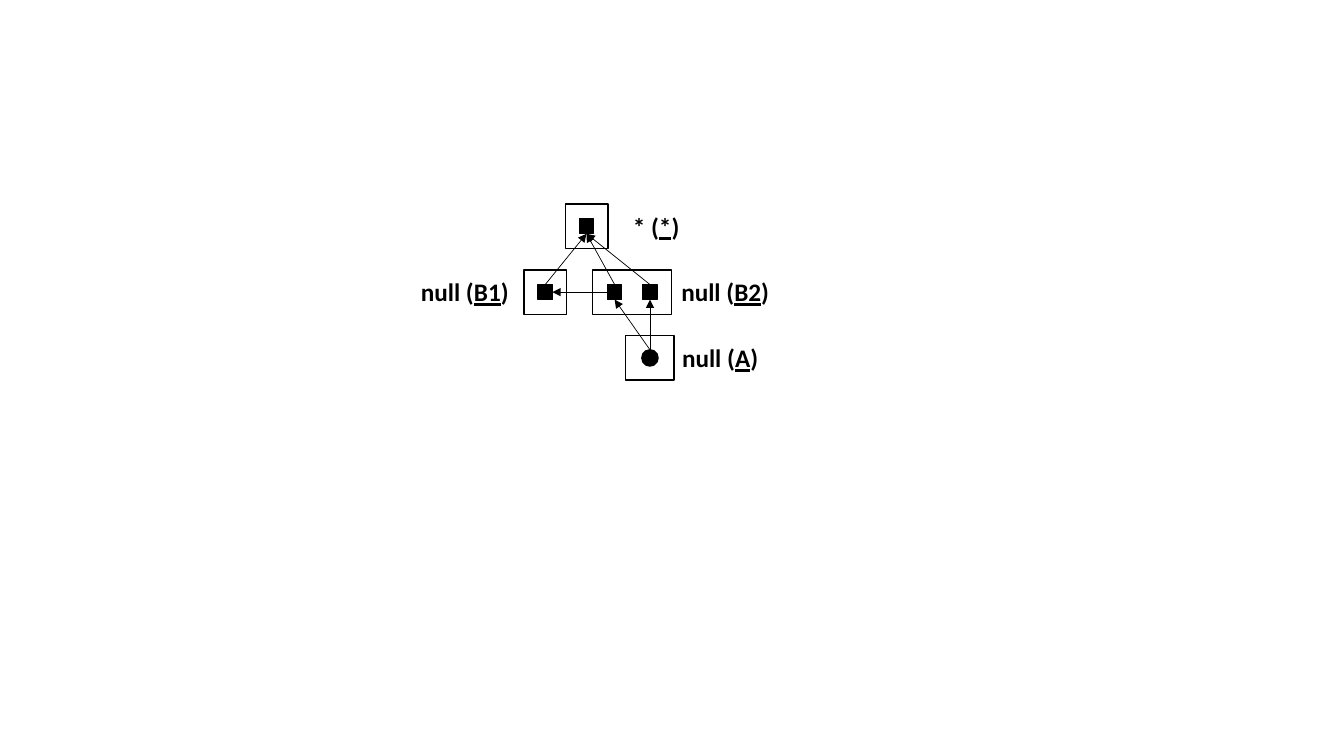
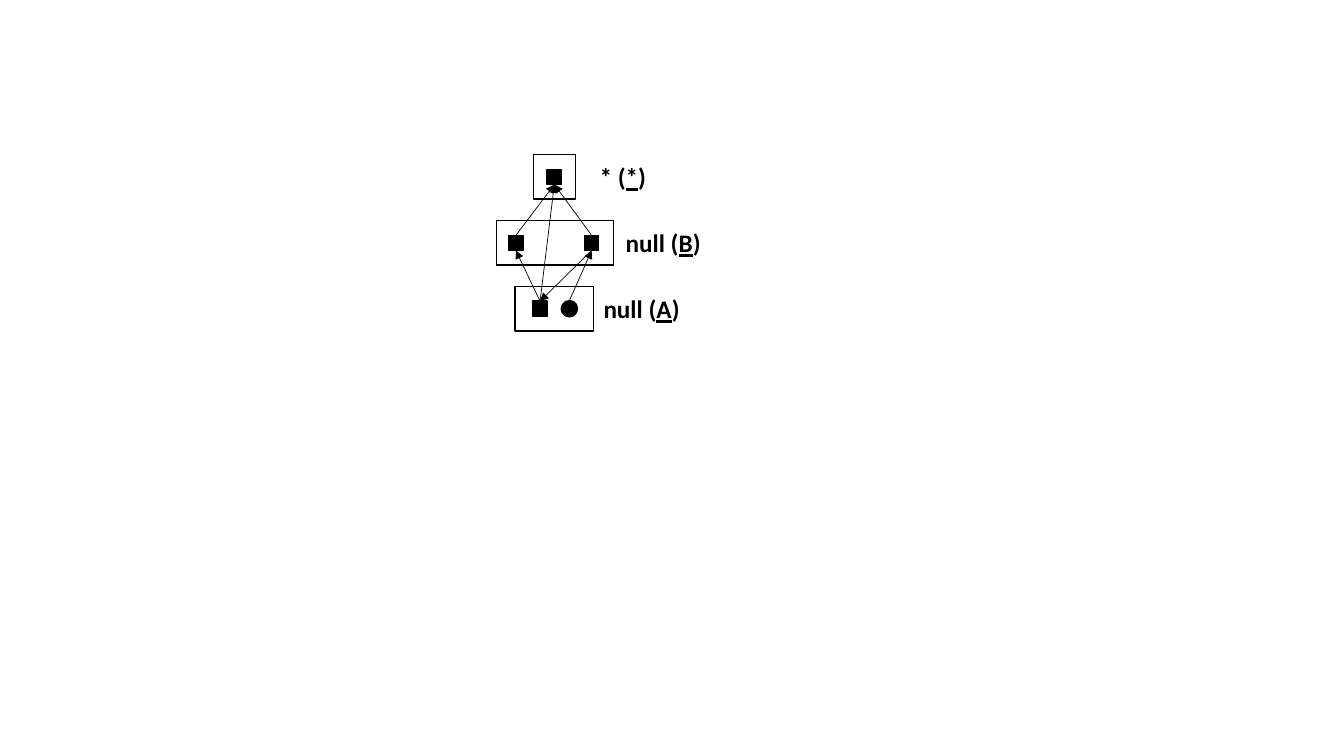
"""Draw two layered graphs whose framed nodes point to their parents."""
from dataclasses import dataclass
from enum import IntEnum

from lxml import etree
from pptx import Presentation
from pptx import util as u
from pptx.dml.color import RGBColor
from pptx.enum import shapes, text
from pptx.oxml import ns
from pptx.shapes.autoshape import Shape
from pptx.slide import Slide

BLACK = RGBColor(0, 0, 0)
FONT = "Calibri"
LEVEL_GAP = 1.66
FRAME_HEIGHT = 1.12
LABEL_HEIGHT = 1.02
SQUARE_SIZE = (0.36, 0.38)
DOT_SIZE = (0.41, 0.41)


class Side(IntEnum):
    TOP = 0
    LEFT = 1
    BOTTOM = 2
    RIGHT = 3


@dataclass(frozen=True)
class Node:
    key: str
    center: float
    is_dot: bool = False


@dataclass(frozen=True)
class Group:
    level: int
    frame_left: float
    frame_width: float
    value: str
    name: str
    label_left: float
    label_width: float
    nodes: tuple[Node, ...]


@dataclass(frozen=True)
class Link:
    target: str
    source: str
    target_side: Side = Side.BOTTOM
    source_side: Side = Side.TOP


@dataclass(frozen=True)
class Graph:
    root_middle: float
    groups: tuple[Group, ...]
    links: tuple[Link, ...]


def add_outline(slide: Slide, kind: shapes.MSO_SHAPE, center: float, middle: float,
                width: float, height: float, filled: bool) -> Shape:
    outline = slide.shapes.add_shape(
        kind, u.Cm(center - width / 2), u.Cm(middle - height / 2), u.Cm(width), u.Cm(height))
    outline.shadow.inherit = False
    outline.line.color.rgb = BLACK
    outline.line.width = u.Pt(1)
    if filled:
        outline.fill.solid()
        outline.fill.fore_color.rgb = BLACK
    else:
        outline.fill.background()
    return outline


def add_label(slide: Slide, group: Group, middle: float) -> None:
    label = slide.shapes.add_textbox(
        u.Cm(group.label_left), u.Cm(middle - LABEL_HEIGHT / 2),
        u.Cm(group.label_width), u.Cm(LABEL_HEIGHT))
    label.text_frame.word_wrap = False
    label.text_frame.auto_size = text.MSO_AUTO_SIZE.SHAPE_TO_FIT_TEXT
    paragraph = label.text_frame.paragraphs[0]
    for wording, underlined in ((f"{group.value} (", False), (group.name, True), (")", False)):
        run = paragraph.add_run()
        run.text = wording
        run.font.name = FONT
        run.font.size = u.Pt(18)
        run.font.bold = True
        run.font.underline = underlined
        run.font.color.rgb = BLACK


def add_group(slide: Slide, group: Group, middle: float) -> dict[str, Shape]:
    add_outline(slide, shapes.MSO_SHAPE.RECTANGLE, group.frame_left + group.frame_width / 2,
                middle, group.frame_width, FRAME_HEIGHT, False)
    add_label(slide, group, middle)
    drawn = {}
    for node in group.nodes:
        kind = shapes.MSO_SHAPE.OVAL if node.is_dot else shapes.MSO_SHAPE.RECTANGLE
        width, height = DOT_SIZE if node.is_dot else SQUARE_SIZE
        drawn[node.key] = add_outline(slide, kind, node.center, middle, width, height, True)
    return drawn


def add_link(slide: Slide, link: Link, nodes: dict[str, Shape]) -> None:
    arrow = slide.shapes.add_connector(shapes.MSO_CONNECTOR.STRAIGHT, 0, 0, 0, 0)
    arrow.begin_connect(nodes[link.target], link.target_side)
    arrow.end_connect(nodes[link.source], link.source_side)
    arrow.line.color.rgb = BLACK
    arrow.line.width = u.Pt(0.5)
    etree.SubElement(arrow.line._get_or_add_ln(), ns.qn("a:headEnd"), type="triangle")
    etree.SubElement(arrow._element.spPr, ns.qn("a:effectLst"))


def add_graph(deck: Presentation, graph: Graph) -> None:
    slide = deck.slides.add_slide(deck.slide_layouts[6])
    nodes: dict[str, Shape] = {}
    for group in graph.groups:
        nodes |= add_group(slide, group, graph.root_middle + group.level * LEVEL_GAP)
    for link in graph.links:
        add_link(slide, link, nodes)


SPLIT_GRAPH = Graph(
    5.7,
    (
        Group(0, 14.25, 1.07, "*", "*", 15.7, 1.7, (Node("root", 14.78),)),
        Group(1, 13.21, 1.07, "null", "B1", 10.36, 2.74, (Node("b1", 13.74),)),
        Group(1, 14.94, 1.98, "null", "B2", 16.92, 2.74,
              (Node("b2 left", 15.49), Node("b2 right", 16.38))),
        Group(2, 15.77, 1.22, "null", "A", 16.94, 2.44, (Node("a", 16.38, True),)),
    ),
    (
        Link("root", "b1"),
        Link("root", "b2 left"),
        Link("root", "b2 right"),
        Link("b1", "b2 left", Side.RIGHT, Side.LEFT),
        Link("b2 left", "a"),
        Link("b2 right", "a"),
    ),
)

MERGED_GRAPH = Graph(
    4.46,
    (
        Group(0, 13.44, 1.07, "*", "*", 14.86, 1.7, (Node("root", 13.97),)),
        Group(1, 12.52, 2.95, "null", "B", 15.52, 2.41,
              (Node("b left", 13), Node("b right", 14.91))),
        Group(2, 12.98, 1.98, "null", "A", 14.96, 2.44,
              (Node("a square", 13.61), Node("a dot", 14.35, True))),
    ),
    (
        Link("root", "b left"),
        Link("root", "b right"),
        Link("root", "a square"),
        Link("b left", "a square"),
        Link("a square", "b right", Side.TOP, Side.BOTTOM),
        Link("b right", "a dot"),
    ),
)


def main() -> None:
    deck = Presentation()
    deck.slide_width = u.Cm(33.87)
    deck.slide_height = u.Cm(19.05)
    for graph in (SPLIT_GRAPH, MERGED_GRAPH):
        add_graph(deck, graph)
    deck.save("out.pptx")


main()
